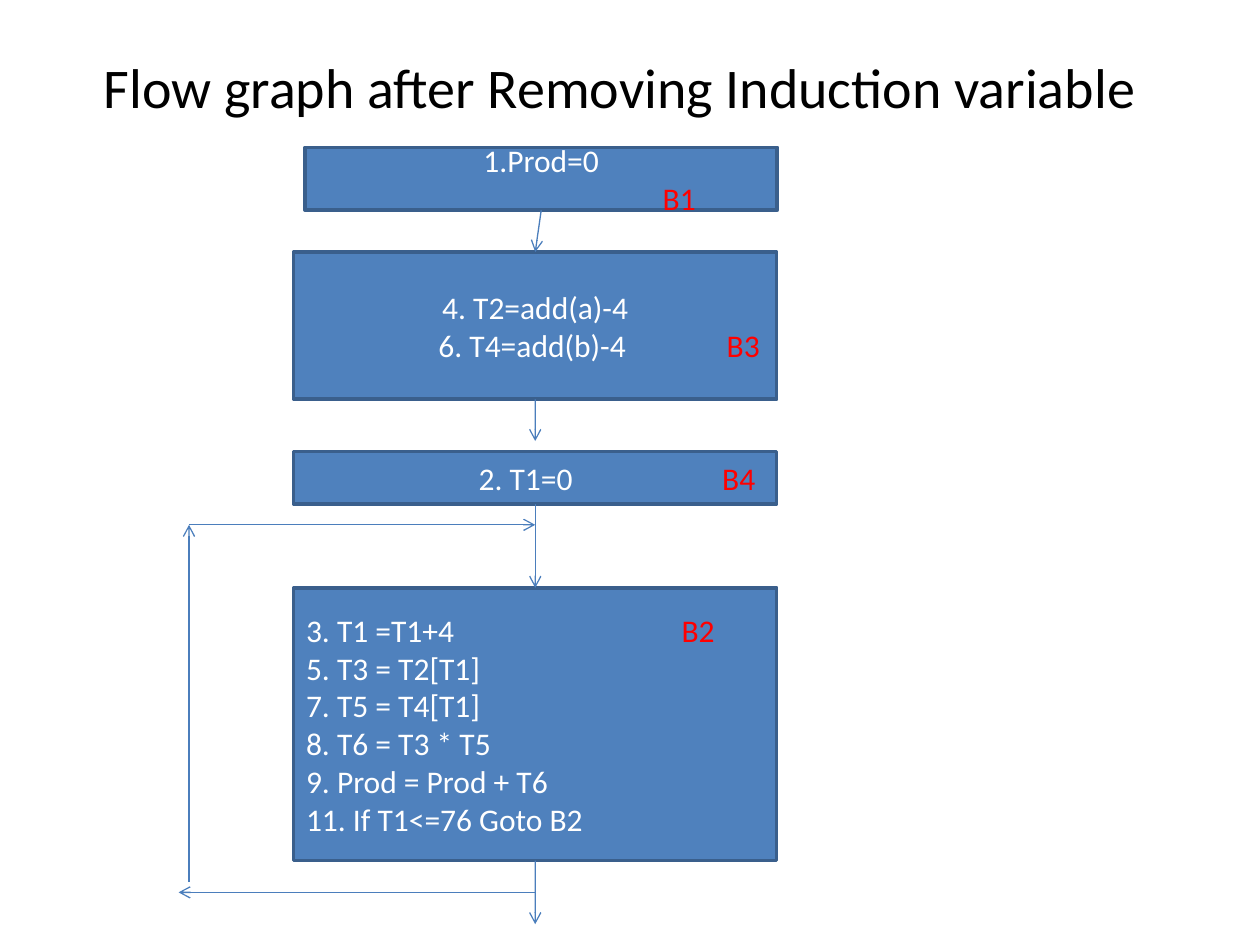
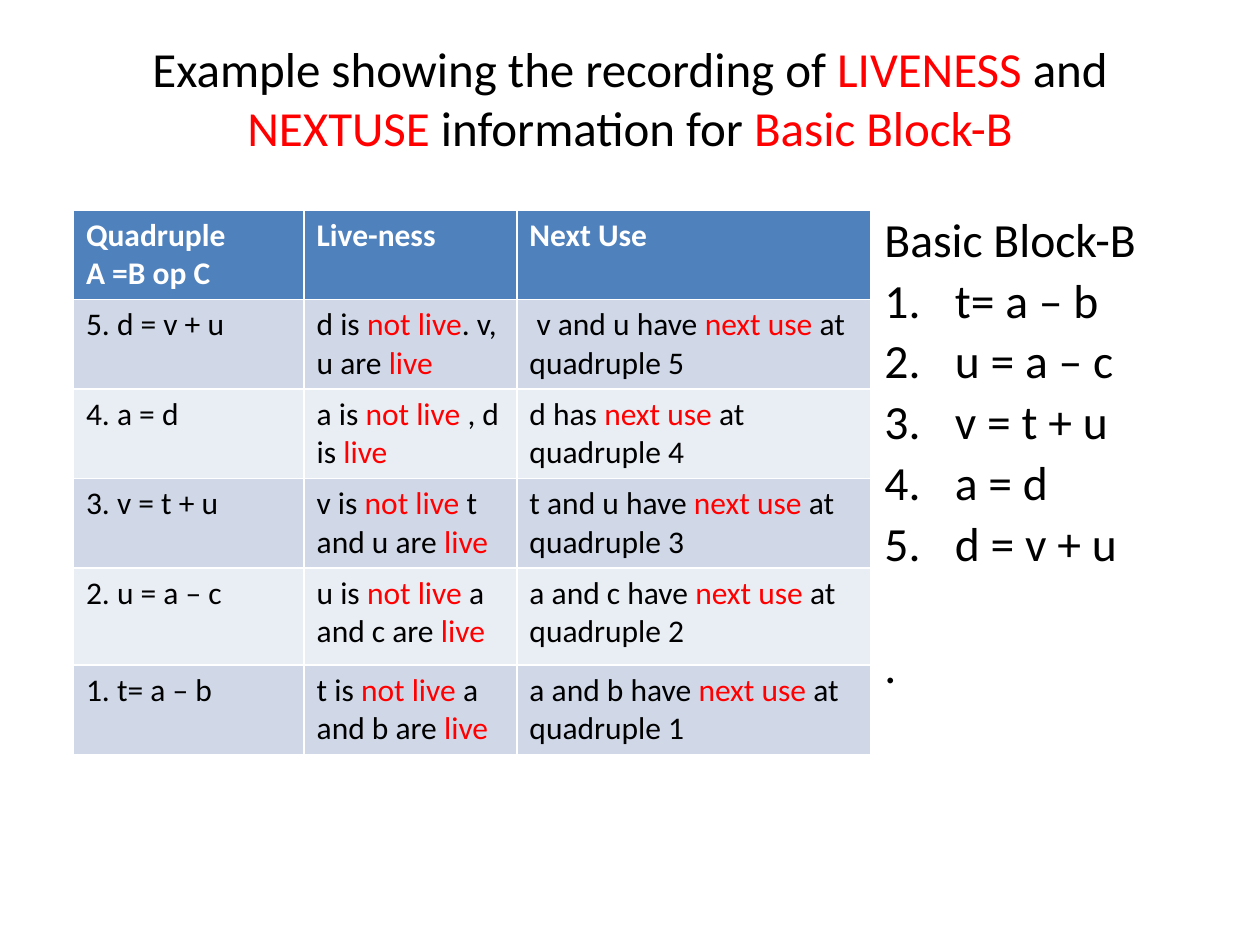
import pptx
import pptx.util
import pptx.dml.color
import pptx.enum.shapes
import pptx.enum.text
import pptx.oxml.ns
from dataclasses import dataclass
from typing import Optional
from lxml import etree

Cm = pptx.util.Cm
Pt = pptx.util.Pt
qn = pptx.oxml.ns.qn
ALIGN = pptx.enum.text.PP_ALIGN
ANCHOR = pptx.enum.text.MSO_ANCHOR

FONT = "Calibri"
HEX = {
    "black": "000000", "white": "FFFFFF", "red": "FF0000",
    "blue": "4F81BD", "edge": "3A5F8C", "arrow": "4B7EBC",
    "odd": "D0D8E8", "even": "E9EDF4",
}
TOP, BOTTOM = 0, 2
MID = 10.79  # centre line of the flow graph, in cm


@dataclass
class Line:
    text: str
    tabs: tuple[float, ...] = ()
    mid: bool = False


@dataclass
class Block:
    name: str
    left: float
    top: float
    width: float
    height: float
    lines: list[Line]


@dataclass
class Arrow:
    start: tuple[float, float]
    end: tuple[float, float]
    source: Optional[str] = None
    goal: Optional[str] = None


BLOCKS = [
    Block("B1", 6.15, 2.97, 9.52, 1.27, [
        Line("1.Prod=0", mid=True),
        Line("\t|B1|", (6.96,))]),
    Block("B3", 5.92, 5.08, 9.74, 2.97, [
        Line("4. T2=add(a)-4", mid=True),
        Line("\t6. T4=add(b)-4\t|B3|", (2.67, 8.48))]),
    Block("B4", 5.92, 9.1, 9.74, 1.06, [
        Line("\t2. T1=0\t|B4|", (3.48, 8.39))]),
    Block("B2", 5.92, 11.85, 9.74, 5.5, [
        Line("3. T1 =T1+4\t|B2|", (7.57,)),
        Line("5. T3 = T2[T1]"),
        Line("7. T5 = T4[T1]"),
        Line("8. T6 = T3 * T5"),
        Line("9. Prod = Prod + T6"),
        Line("11. If T1<=76 Goto B2")]),
]

ARROWS = [
    Arrow((10.91, 4.24), (MID, 5.08), "B1", "B3"),
    Arrow((MID, 8.05), (MID, 8.89), "B3"),
    Arrow((MID, 10.16), (MID, 11.85), "B4", "B2"),
    Arrow((MID, 17.35), (MID, 18.63), "B2"),
    # loop back to the start of B2
    Arrow((MID, 17.99), (3.6, 17.99)),
    Arrow((3.81, 17.78), (3.81, 10.58)),
    Arrow((3.81, 10.58), (MID, 10.58)),
]

HEADS = ["Quadruple\nA =B op C", "Live-ness", "Next Use"]
ROWS = [
    ("5. d = v + u", "d is |not live|. v, u are |live|", " v and u have"),
    ("4. a = d", "a is |not live| , d is |live|", "d has"),
    ("3. v = t + u", "v is |not live| t and u are |live|", "t and u have"),
    ("2. u = a – c", "u is |not live| a and c are |live|", "a and c have"),
    ("1. t= a – b", "t is |not live| a and b are |live|", "a and b have"),
]
WIDTHS = [4.65, 4.29, 7.14]
HEIGHTS = [1.8, 1.8, 1.8, 1.8, 1.96, 1.8]
STEPS = ["t= a – b", "u = a – c", "v = t + u", "a = d", "d = v + u"]


def color(name: str) -> pptx.dml.color.RGBColor:
    return pptx.dml.color.RGBColor.from_string(HEX[name])


def write(para, text: str, size: float, tint: str = "black",
          bold: bool = False) -> None:
    """Add runs; the parts between bars are red."""
    for i, part in enumerate(text.split("|")):
        if part:
            run = para.add_run()
            run.text = part
            run.font.name = FONT
            run.font.size = Pt(size)
            run.font.bold = bold
            run.font.color.rgb = color("red" if i % 2 else tint)


def next_para(frame, i: int):
    return frame.add_paragraph() if i else frame.paragraphs[0]


def add_slide(deck, text: str, size: float, box: tuple[float, ...]):
    slide = deck.slides.add_slide(deck.slide_layouts[5])
    title = slide.shapes.title
    title.left, title.top, title.width, title.height = map(Cm, box)
    frame = title.text_frame
    frame.auto_size = pptx.enum.text.MSO_AUTO_SIZE.NONE
    frame.vertical_anchor = ANCHOR.MIDDLE
    frame.paragraphs[0].alignment = ALIGN.CENTER
    write(frame.paragraphs[0], text, size)
    return slide


def set_tabs(para, stops: tuple[float, ...]) -> None:
    tabs = etree.SubElement(para._p.get_or_add_pPr(), qn("a:tabLst"))
    for stop in stops:
        etree.SubElement(tabs, qn("a:tab"), pos=str(int(Cm(stop))), algn="l")


def add_block(slide, block: Block):
    box = slide.shapes.add_shape(
        pptx.enum.shapes.MSO_SHAPE.RECTANGLE, Cm(block.left), Cm(block.top),
        Cm(block.width), Cm(block.height))
    box.shadow.inherit = False
    box.fill.solid()
    box.fill.fore_color.rgb = color("blue")
    box.line.color.rgb = color("edge")
    box.line.width = Pt(2)
    frame = box.text_frame
    frame.word_wrap = True
    frame.vertical_anchor = ANCHOR.MIDDLE
    for i, line in enumerate(block.lines):
        para = next_para(frame, i)
        para.alignment = ALIGN.CENTER if line.mid else ALIGN.LEFT
        if line.tabs:
            set_tabs(para, line.tabs)
        write(para, line.text, 18, "white")
    return box


def add_arrow(slide, arrow: Arrow, boxes: dict) -> None:
    link = slide.shapes.add_connector(
        pptx.enum.shapes.MSO_CONNECTOR.STRAIGHT,
        *map(Cm, arrow.start + arrow.end))
    if arrow.source:
        link.begin_connect(boxes[arrow.source], BOTTOM)
    if arrow.goal:
        link.end_connect(boxes[arrow.goal], TOP)
    link.line.color.rgb = color("arrow")
    link.line.width = Pt(0.75)
    etree.SubElement(link.get_or_add_ln(), qn("a:tailEnd"), type="arrow")
    etree.SubElement(link._element.spPr, qn("a:effectLst"))


def fill_cell(cell, text: str, back: str, tint: str, bold: bool) -> None:
    cell.fill.solid()
    cell.fill.fore_color.rgb = color(back)
    for i, line in enumerate(text.split("\n")):
        write(next_para(cell.text_frame, i), line, 18, tint, bold)


def add_grid(slide) -> None:
    grid = slide.shapes.add_table(
        len(HEIGHTS), len(WIDTHS), Cm(1.48), Cm(4.23),
        Cm(sum(WIDTHS)), Cm(sum(HEIGHTS))).table
    for col, width in zip(grid.columns, WIDTHS):
        col.width = Cm(width)
    for row, height in zip(grid.rows, HEIGHTS):
        row.height = Cm(height)
    for c, head in enumerate(HEADS):
        fill_cell(grid.cell(0, c), head, "blue", "white", True)
    for r, (quad, live, use) in enumerate(ROWS, 1):
        late = f"{use} |next use| at quadruple {quad[0]}"
        for c, text in enumerate((quad, live, late)):
            back = "odd" if r % 2 else "even"
            fill_cell(grid.cell(r, c), text, back, "black", False)


def add_steps(slide) -> None:
    box = slide.shapes.add_textbox(Cm(17.58), Cm(4.23), Cm(5.92), Cm(11))
    frame = box.text_frame
    frame.word_wrap = True
    for i, text in enumerate(["Basic Block-B", *STEPS, "."]):
        para = next_para(frame, i)
        para.line_spacing = 0.9
        para.space_before = Pt(40 if text == "." else 5.4)
        props = para._p.get_or_add_pPr()
        props.set("marL", str(int(Cm(1.42))))
        props.set("indent", str(int(Cm(-1.42))))
        if text in STEPS:
            etree.SubElement(props, qn("a:buFont"), typeface="+mj-lt")
            etree.SubElement(props, qn("a:buAutoNum"), type="arabicPeriod")
        write(para, text, 27.2)


def main() -> None:
    deck = pptx.Presentation()
    deck.slide_width, deck.slide_height = Cm(25.4), Cm(19.05)

    # Flow graph
    flow = add_slide(deck, "Flow graph after Removing Induction variable",
                     32, (1.07, 0.84, 22.86, 1.78))
    boxes = {block.name: add_block(flow, block) for block in BLOCKS}
    for arrow in ARROWS:
        add_arrow(flow, arrow, boxes)

    # Liveness table
    live = add_slide(
        deck, "Example showing the recording of |LIVENESS| and |NEXTUSE| "
        "information for |Basic Block-B|", 28, (1.27, 0.76, 22.86, 2.41))
    add_grid(live)
    add_steps(live)

    deck.save("out.pptx")


if __name__ == "__main__":
    main()
